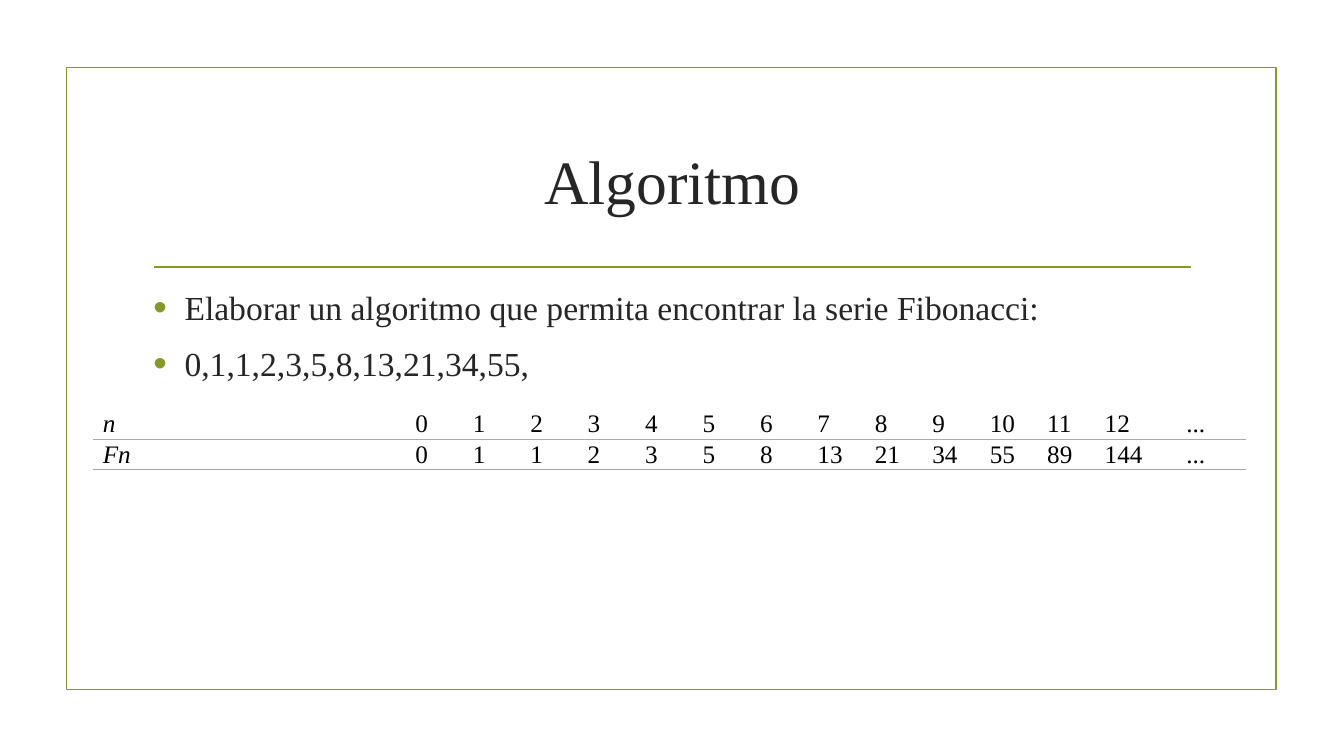
from lxml.etree import SubElement
from pptx import Presentation
from pptx.dml.color import RGBColor
from pptx.enum.shapes import MSO_CONNECTOR, MSO_SHAPE
from pptx.enum.text import MSO_ANCHOR, MSO_AUTO_SIZE, PP_ALIGN
from pptx.oxml import parse_xml
from pptx.oxml.ns import nsdecls, qn
from pptx.util import Inches, Pt

FONT = "Times New Roman"
GREEN = "83992A"
DARK = "262626"
BLACK = "000000"
WHITE = "FFFFFF"
GRAY = "AAAAAA"

INDICES = ["n", *map(str, range(13)), "..."]
FIBONACCI = ["Fn", "0", "1", "1", "2", "3", "5", "8", "13", "21", "34", "55", "89", "144", "..."]
COLUMN_WIDTHS = [3.1] + [0.57] * 12 + [0.81, 0.69]
ROW_HEIGHT = 0.3


def color(value):
    return RGBColor.from_string(value)


def write(paragraph, text, size, fill, italic=False, align=PP_ALIGN.LEFT):
    paragraph.alignment = align
    run = paragraph.add_run()
    run.text = text
    run.font.name = FONT
    run.font.size = Pt(size)
    run.font.bold = False
    run.font.italic = italic
    run.font.color.rgb = color(fill)


def place(shape, left, top, width, height):
    shape.left, shape.top = Inches(left), Inches(top)
    shape.width, shape.height = Inches(width), Inches(height)


def add_frame(slide, left, top, width, height):
    frame = slide.shapes.add_shape(
        MSO_SHAPE.RECTANGLE, Inches(left), Inches(top), Inches(width), Inches(height)
    )
    frame.shadow.inherit = False
    frame.fill.background()
    frame.line.color.rgb = color(GREEN)
    frame.line.width = Pt(1.25)


def add_divider(slide, left, top, width):
    divider = slide.shapes.add_connector(
        MSO_CONNECTOR.STRAIGHT, Inches(left), Inches(top), Inches(left + width), Inches(top)
    )
    divider.line.color.rgb = color(GREEN)
    divider.line.width = Pt(1.25)
    SubElement(divider._element.spPr, qn("a:effectLst"))


def fill_title(slide, text, left, top, width, height):
    title = slide.shapes.title
    place(title, left, top, width, height)
    title.text_frame.vertical_anchor = MSO_ANCHOR.MIDDLE
    write(title.text_frame.paragraphs[0], text, 44, DARK, align=PP_ALIGN.CENTER)


def add_bullet(paragraph):
    properties = paragraph._p.get_or_add_pPr()
    properties.set("marL", str(Inches(0.31)))
    properties.set("indent", str(-Inches(0.31)))
    bullet_color = SubElement(properties, qn("a:buClr"))
    SubElement(bullet_color, qn("a:srgbClr"), val=GREEN)
    SubElement(properties, qn("a:buSzPct"), val="115000")
    SubElement(properties, qn("a:buFont"), typeface="Arial")
    SubElement(properties, qn("a:buChar"), char="•")


def fill_body(slide, items, left, top, width, height):
    body = slide.placeholders[1]
    place(body, left, top, width, height)
    frame = body.text_frame
    frame.auto_size = MSO_AUTO_SIZE.NONE
    for index, item in enumerate(items):
        paragraph = frame.add_paragraph() if index else frame.paragraphs[0]
        paragraph.space_after = Pt(6)
        add_bullet(paragraph)
        write(paragraph, item, 24, DARK)


def set_borders(cell, ruled_sides):
    properties = cell._tc.get_or_add_tcPr()
    for position, side in enumerate(("lnL", "lnR", "lnT", "lnB")):
        paint = "<a:noFill/>"
        if side in ruled_sides:
            paint = f'<a:solidFill><a:srgbClr val="{GRAY}"/></a:solidFill>'
        border = f'<a:{side} {nsdecls("a")} w="{Pt(0.6)}">{paint}</a:{side}>'
        properties.insert(position, parse_xml(border))


def format_cell(cell, text, italic, ruled_sides):
    cell.fill.solid()
    cell.fill.fore_color.rgb = color(WHITE)
    cell.vertical_anchor = MSO_ANCHOR.MIDDLE
    cell.margin_left, cell.margin_right = Inches(0.1), Inches(0.07)
    cell.margin_top = cell.margin_bottom = Inches(0.01)
    write(cell.text_frame.paragraphs[0], text, 18, BLACK, italic=italic)
    set_borders(cell, ruled_sides)


def add_series_table(slide, rows, left, top):
    table = slide.shapes.add_table(
        len(rows), len(COLUMN_WIDTHS), Inches(left), Inches(top),
        Inches(sum(COLUMN_WIDTHS)), Inches(ROW_HEIGHT * len(rows))
    ).table
    table.first_row = False
    table.horz_banding = False
    for column, width in zip(table.columns, COLUMN_WIDTHS):
        column.width = Inches(width)
    for row_index, values in enumerate(rows):
        table.rows[row_index].height = Inches(ROW_HEIGHT)
        ruled_sides = ("lnT", "lnB") if row_index else ("lnB",)
        for column_index, value in enumerate(values):
            cell = table.cell(row_index, column_index)
            format_cell(cell, value, column_index == 0, ruled_sides)


def build_algorithm_slide(presentation):
    slide = presentation.slides.add_slide(presentation.slide_layouts[1])
    add_frame(slide, 0.66, 0.67, 12, 6.17)
    add_divider(slide, 1.53, 2.65, 10.28)
    fill_title(slide, "Algoritmo", 1.42, 1.07, 10.5, 1.43)
    items = [
        "Elaborar un algoritmo que permita encontrar la serie Fibonacci:",
        "0,1,1,2,3,5,8,13,21,34,55,",
    ]
    fill_body(slide, items, 1.42, 2.8, 10.5, 3.63)
    add_series_table(slide, [INDICES, FIBONACCI], 0.92, 4.06)


def main():
    presentation = Presentation()
    presentation.slide_width = Inches(13.33)
    presentation.slide_height = Inches(7.5)
    build_algorithm_slide(presentation)
    presentation.save("out.pptx")


if __name__ == "__main__":
    main()
